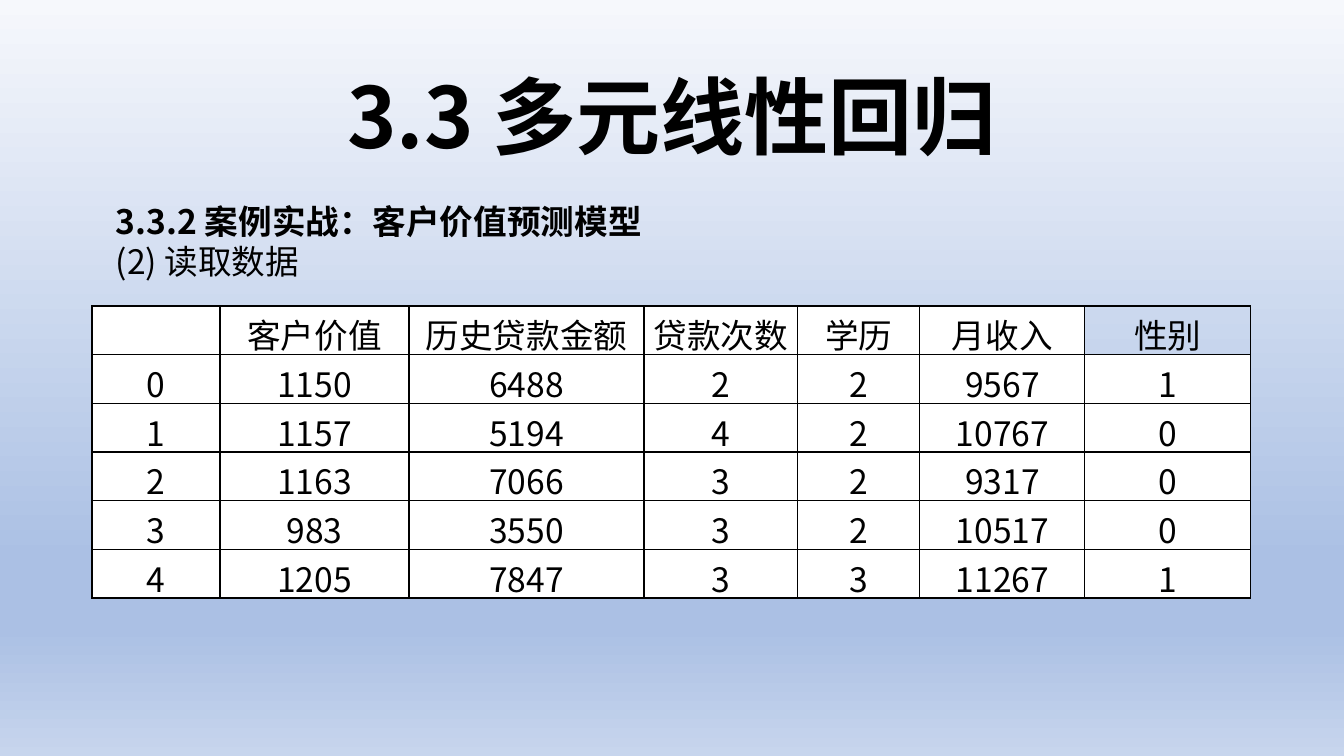
from dataclasses import dataclass

from lxml.etree import SubElement
from pptx import Presentation
from pptx.dml.color import RGBColor
from pptx.enum.text import MSO_ANCHOR as Anchor, MSO_AUTO_SIZE as AutoSize, PP_ALIGN as Align
from pptx.oxml.ns import qn
from pptx.slide import Slide
from pptx.table import _Cell as Cell
from pptx.text.text import _Paragraph as Paragraph
from pptx.util import Emu, Pt

EMU_PER_PX = 12192000 / 1344
TITLE_ONLY = 5


@dataclass(frozen=True)
class Theme:
    font: str = "Noto Sans CJK SC"
    ink: str = "000000"
    cell: str = "FFFFFF"
    title_size: int = 60
    body_size: int = 24
    border: float = 1
    backdrop: tuple[tuple[int, str], ...] = (
        (0, "F6F8FC"), (74, "ABC0E4"), (83, "ABC0E4"), (100, "C7D5ED"))


@dataclass(frozen=True)
class Box:
    left: int
    top: int
    width: int
    height: int

    def emu(self) -> tuple[Emu, Emu, Emu, Emu]:
        return px(self.left), px(self.top), px(self.width), px(self.height)


@dataclass(frozen=True)
class Line:
    text: str
    bold: bool


THEME = Theme()
TITLE = Line("3.3 多元线性回归", True)
TITLE_BOX = Box(321, 59, 702, 112)
INTRO = (Line("3.3.2 案例实战：客户价值预测模型", True), Line("(2) 读取数据", False))
INTRO_BOX = Box(106, 196, 1133, 92)

COLUMN_WIDTHS = (128, 189, 235, 154, 122, 165, 166)
TABLE_BOX = Box(92, 306, sum(COLUMN_WIDTHS), 292)
CELL_INSET = 4
HEADER = ("", "客户价值", "历史贷款金额", "贷款次数", "学历", "月收入", "性别")
CUSTOMERS = (
    (1150, 6488, 2, 2, 9567, 1),
    (1157, 5194, 4, 2, 10767, 0),
    (1163, 7066, 3, 2, 9317, 0),
    (983, 3550, 3, 2, 10517, 0),
    (1205, 7847, 3, 3, 11267, 1),
)


def px(length: int) -> Emu:
    return Emu(round(length * EMU_PER_PX))


def add_text(para: Paragraph, line: Line, size: int) -> None:
    run = para.add_run()
    run.text = line.text
    font = run.font
    font.size, font.bold, font.name = Pt(size), line.bold, THEME.font
    font.color.rgb = RGBColor.from_string(THEME.ink)
    SubElement(run._r.get_or_add_rPr(), qn("a:ea"), typeface=THEME.font)


def paint_backdrop(page: Slide) -> None:
    """Fill the page with a top-to-bottom gradient."""
    page.background.fill.gradient()
    gradient = page._element.find(".//" + qn("a:gradFill"))
    for child in list(gradient):
        gradient.remove(child)
    stops = SubElement(gradient, qn("a:gsLst"))
    for percent, colour in THEME.backdrop:
        stop = SubElement(stops, qn("a:gs"), pos=str(percent * 1000))
        SubElement(stop, qn("a:srgbClr"), val=colour)
    SubElement(gradient, qn("a:lin"), ang="5400000", scaled="0")


def add_title(page: Slide) -> None:
    title = page.shapes.title
    title.left, title.top, title.width, title.height = TITLE_BOX.emu()
    frame = title.text_frame
    frame.word_wrap = False
    frame.auto_size = AutoSize.SHAPE_TO_FIT_TEXT
    frame.vertical_anchor = Anchor.TOP
    para = frame.paragraphs[0]
    para.alignment = Align.CENTER
    add_text(para, TITLE, THEME.title_size)


def add_intro(page: Slide) -> None:
    frame = page.shapes.add_textbox(*INTRO_BOX.emu()).text_frame
    frame.word_wrap = True
    frame.auto_size = AutoSize.SHAPE_TO_FIT_TEXT
    for index, line in enumerate(INTRO):
        para = frame.add_paragraph() if index else frame.paragraphs[0]
        add_text(para, line, THEME.body_size)


def add_borders(cell: Cell) -> None:
    properties = cell._tc.get_or_add_tcPr()
    for side in ("L", "R", "T", "B"):
        edge = SubElement(properties, qn(f"a:ln{side}"), w=str(Pt(THEME.border)))
        fill = SubElement(edge, qn("a:solidFill"))
        SubElement(fill, qn("a:srgbClr"), val=THEME.ink)


def fill_cell(cell: Cell, text: str, clear: bool) -> None:
    add_borders(cell)
    if clear:
        cell.fill.background()
    else:
        cell.fill.solid()
        cell.fill.fore_color.rgb = RGBColor.from_string(THEME.cell)
    cell.margin_left = cell.margin_right = 0
    cell.margin_top = cell.margin_bottom = px(CELL_INSET)
    para = cell.text_frame.paragraphs[0]
    para.alignment = Align.CENTER
    if text:
        add_text(para, Line(text, False), THEME.body_size)


def add_customer_table(page: Slide) -> None:
    rows = [HEADER] + [(index, *values) for index, values in enumerate(CUSTOMERS)]
    table = page.shapes.add_table(len(rows), len(HEADER), *TABLE_BOX.emu()).table
    table.first_row = table.horz_banding = False
    for column, width in zip(table.columns, COLUMN_WIDTHS):
        column.width = px(width)
    for row_index, values in enumerate(rows):
        for column_index, value in enumerate(values):
            clear = (row_index, column_index) == (0, len(HEADER) - 1)
            fill_cell(table.cell(row_index, column_index), str(value), clear)


def main() -> None:
    deck = Presentation()
    deck.slide_width, deck.slide_height = px(1344), px(756)
    page = deck.slides.add_slide(deck.slide_layouts[TITLE_ONLY])
    paint_backdrop(page)
    add_title(page)
    add_intro(page)
    add_customer_table(page)
    deck.save("out.pptx")


if __name__ == "__main__":
    main()
